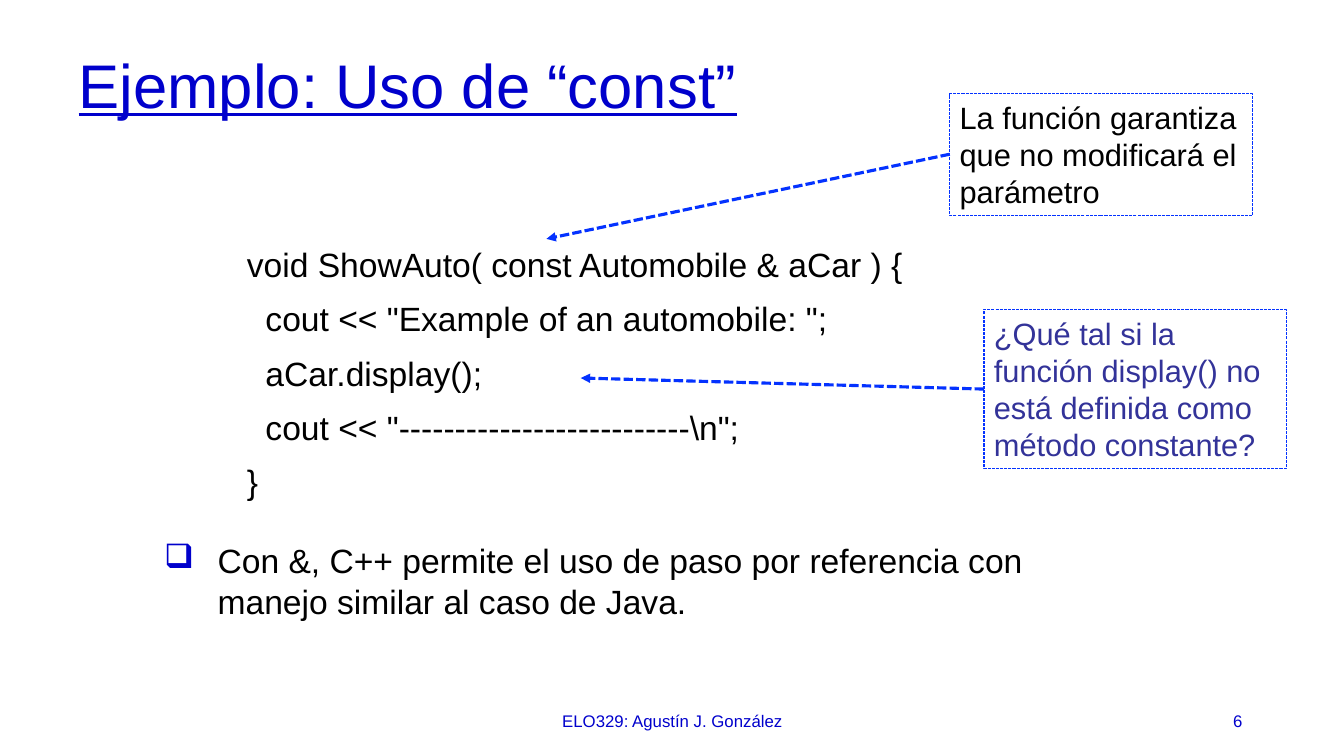
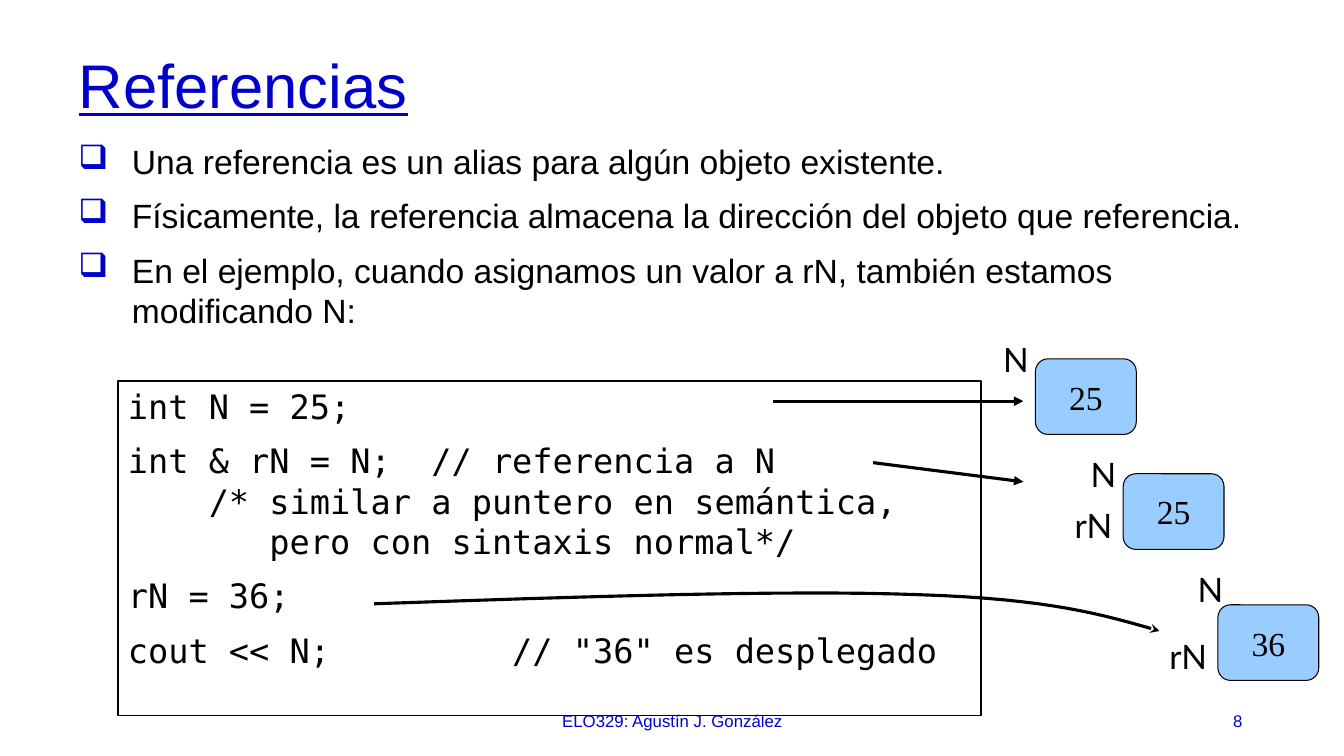
from dataclasses import dataclass
from typing import Optional

from pptx import Presentation
from pptx.dml.color import RGBColor
from pptx.enum.dml import MSO_LINE
from pptx.enum.shapes import MSO_CONNECTOR, MSO_SHAPE
from pptx.enum.text import MSO_ANCHOR as Anchor, PP_ALIGN as Align
from pptx.oxml.ns import qn
from pptx.oxml.xmlchemy import OxmlElement
from pptx.util import Inches, Pt

BLUE = RGBColor(0x00, 0x00, 0xCC)
CALLOUT_BLUE = RGBColor(0x04, 0x32, 0xFF)
INDIGO = RGBColor(0x33, 0x33, 0x99)
SKY = RGBColor(0x99, 0xCC, 0xFF)
BLACK = RGBColor(0x00, 0x00, 0x00)

SANS, MONO, LABEL_FONT, VALUE_FONT = "Arial", "DejaVu Sans Mono", "Lato", "Times New Roman"
FOOTER = "ELO329: Agustín J. González"
TITLE_ONLY = 5
BULLET_INDENT = Inches(0.53)
CURVE_STEPS = 16

Point = tuple[float, float]
Box = tuple[float, float, float, float]


@dataclass(frozen=True)
class Style:
    """Font settings of a run."""
    size: float
    color: RGBColor = BLACK
    font: str = SANS
    underline: bool = False


@dataclass(frozen=True)
class Callout:
    """A framed remark with an arrow to the code."""
    text: str
    box: Box
    color: RGBColor
    arrow_start: Point
    arrow_end: Point


@dataclass(frozen=True)
class Variable:
    """A memory cell with its names; name_offset places N from the cell's corner."""
    value: str
    left: float
    top: float
    name_offset: Point = (-0.42, -0.25)
    has_reference: bool = True


TITLE = Style(44, BLUE, underline=True)
BODY = Style(24)
CODE = Style(24, font=MONO)
SMALL = Style(12, BLUE)
LABEL = Style(24, font=LABEL_FONT)
VALUE = Style(24, font=VALUE_FONT)

CALLOUTS = [
    Callout("La función garantiza que no modificará el parámetro",
            (9.42, 0.93, 3, 1.21), BLACK, (9.42, 1.53), (5.42, 2.37)),
    Callout("¿Qué tal si la función display() no está definida como método constante?",
            (9.76, 3.07, 3, 1.58), INDIGO, (9.76, 3.86), (5.76, 3.75)),
]
SHOW_AUTO = [
    "void ShowAuto( const Automobile & aCar ) {",
    '  cout << "Example of an automobile: ";',
    "  aCar.display();",
    '  cout << "--------------------------\\n";',
    "}",
]
REFERENCE_POINTS = [
    "Una referencia es un alias para algún objeto existente.",
    "Físicamente, la referencia almacena la dirección del objeto que referencia.",
    "En el ejemplo, cuando asignamos un valor a rN, también estamos modificando N:",
]
REFERENCE_CODE = [
    "int N = 25;",
    "int & rN = N;  // referencia a N\n"
    "    /* similar a puntero en semántica,\n"
    "       pero con sintaxis normal*/",
    "rN = 36;",
    'cout << N;         // "36" es desplegado',
]
VARIABLES = [
    Variable("25", 10.27, 3.56, has_reference=False),
    Variable("25", 11.14, 4.7),
    Variable("36", 12.08, 6, name_offset=(-0.3, -0.41)),
]
CODE_ARROWS = [((7.67, 3.98), (10.15, 3.98)), ((8.66, 4.59), (10.15, 4.78))]
CURVE = [
    ((3.71, 5.99), (5.76, 5.92), (7.81, 5.85), (9.11, 5.9)),
    ((9.11, 5.9), (10.41, 5.94), (10.95, 6.1), (11.5, 6.26)),
]


def inches(*values: float) -> list[Inches]:
    """Convert numbers to lengths."""
    return [Inches(value) for value in values]


def write(paragraph, text: str, style: Style) -> None:
    """Add text to a paragraph, one run a line."""
    for number, line in enumerate(text.split("\n")):
        if number:
            paragraph.add_line_break()
        run = paragraph.add_run()
        run.text = line
        run.font.name, run.font.size = style.font, Pt(style.size)
        run.font.color.rgb = style.color
        if style.underline:
            run.font.underline = True


def set_bullet(paragraph) -> None:
    """Give a paragraph a blue box bullet and a hanging indent."""
    properties = paragraph._p.get_or_add_pPr()
    properties.set("marL", str(BULLET_INDENT))
    properties.set("indent", str(-BULLET_INDENT))
    bullet_color = OxmlElement("a:buClr")
    color = OxmlElement("a:srgbClr")
    color.set("val", str(BLUE))
    bullet_color.append(color)
    bullet = OxmlElement("a:buChar")
    bullet.set("char", "❑")
    properties.extend([bullet_color, bullet])


def fill_body(frame, texts: list[str], style: Style, bullets: bool = False) -> None:
    """Write spaced paragraphs into a text frame."""
    frame.word_wrap = True
    for number, text in enumerate(texts):
        paragraph = frame.add_paragraph() if number else frame.paragraphs[0]
        paragraph.space_before, paragraph.space_after = Pt(6), Pt(4)
        if bullets:
            set_bullet(paragraph)
        write(paragraph, text, style)


def add_body(slide, box: Box, texts: list[str], style: Style, bullets: bool = False):
    """Add a text box of spaced paragraphs and return it."""
    shape = slide.shapes.add_textbox(*inches(*box))
    fill_body(shape.text_frame, texts, style, bullets)
    return shape


def add_label(slide, box: Box, text: str, style: Style,
              align: Align = Align.LEFT, anchor: Anchor = Anchor.TOP) -> None:
    """Add a text box of one line."""
    frame = slide.shapes.add_textbox(*inches(*box)).text_frame
    frame.word_wrap = True
    frame.vertical_anchor = anchor
    frame.paragraphs[0].alignment = align
    write(frame.paragraphs[0], text, style)


def set_line(shape, color: RGBColor, width: float, dashed: bool = False,
             head: Optional[str] = None) -> None:
    """Format an outline, with an arrowhead at its end if asked."""
    shape.line.color.rgb = color
    shape.line.width = Pt(width)
    if dashed:
        shape.line.dash_style = MSO_LINE.SQUARE_DOT
    if head:
        tail = OxmlElement("a:tailEnd")
        tail.set("type", head)
        shape._element.spPr.find(qn("a:ln")).append(tail)


def add_arrow(shapes, start: Point, end: Point, color: RGBColor, dashed: bool = False) -> None:
    """Add a straight arrow."""
    arrow = shapes.add_connector(MSO_CONNECTOR.STRAIGHT, *inches(*start, *end))
    set_line(arrow, color, 2.25, dashed, "triangle")
    arrow._element.spPr.append(OxmlElement("a:effectLst"))


def add_callout(slide, callout: Callout) -> None:
    """Add a remark grouped with its arrow."""
    shapes = slide.shapes.add_group_shape().shapes
    frame_shape = shapes.add_shape(MSO_SHAPE.RECTANGLE, *inches(*callout.box))
    frame_shape.shadow.inherit = False
    frame_shape.fill.background()
    set_line(frame_shape, CALLOUT_BLUE, 0.75, dashed=True)
    frame = frame_shape.text_frame
    frame.word_wrap = True
    frame.vertical_anchor = Anchor.TOP
    frame.paragraphs[0].alignment = Align.LEFT
    write(frame.paragraphs[0], callout.text, Style(22, callout.color))
    add_arrow(shapes, callout.arrow_start, callout.arrow_end, CALLOUT_BLUE, dashed=True)


def add_variable(slide, variable: Variable) -> None:
    """Add a memory cell and the names that refer to it."""
    left, top = variable.left, variable.top
    cell = slide.shapes.add_shape(MSO_SHAPE.ROUNDED_RECTANGLE, *inches(left, top, 1, 0.75))
    cell.shadow.inherit = False
    cell.fill.solid()
    cell.fill.fore_color.rgb = SKY
    set_line(cell, BLACK, 0)
    frame = cell.text_frame
    frame.word_wrap = False
    frame.vertical_anchor = Anchor.MIDDLE
    frame.paragraphs[0].alignment = Align.CENTER
    write(frame.paragraphs[0], variable.value, VALUE)
    shift_x, shift_y = variable.name_offset
    add_label(slide, (left + shift_x, top + shift_y, 0.5, 0.47), "N", LABEL)
    if variable.has_reference:
        add_label(slide, (left - 0.58, top + 0.26, 0.58, 0.53), "rN", LABEL)


def bezier_point(controls: tuple[Point, ...], t: float) -> Point:
    """Return the point at t of a cubic curve."""
    weights = ((1 - t) ** 3, 3 * t * (1 - t) ** 2, 3 * t ** 2 * (1 - t), t ** 3)
    x, y = (sum(w * p[axis] for w, p in zip(weights, controls)) for axis in (0, 1))
    return x, y


def add_curved_arrow(slide, segments: list[tuple[Point, ...]]) -> None:
    """Add an arrow along joined cubic curves."""
    points = [inches(*bezier_point(controls, step / CURVE_STEPS))
              for controls in segments for step in range(1, CURVE_STEPS + 1)]
    builder = slide.shapes.build_freeform(*inches(*segments[0][0]))
    builder.add_line_segments(points, close=False)
    curve = builder.convert_to_shape()
    curve.shadow.inherit = False
    curve.fill.background()
    set_line(curve, BLACK, 2.25, head="stealth")


def add_slide(presentation, title: str, number: int):
    """Add a slide with its title, footer and number."""
    slide = presentation.slides.add_slide(presentation.slide_layouts[TITLE_ONLY])
    shape = slide.shapes.title
    shape.left, shape.top, shape.width, shape.height = inches(0.68, 0.4, 12.08, 0.95)
    frame = shape.text_frame
    frame.vertical_anchor = Anchor.MIDDLE
    paragraph = frame.paragraphs[0]
    paragraph.alignment = Align.LEFT
    paragraph.line_spacing = 0.9
    write(paragraph, title, TITLE)
    add_label(slide, (4.42, 6.95, 4.5, 0.4), FOOTER, SMALL, Align.CENTER, Anchor.MIDDLE)
    add_label(slide, (9.42, 6.95, 3, 0.4), str(number), SMALL, Align.RIGHT, Anchor.MIDDLE)
    return slide


def build_const_slide(presentation) -> None:
    """Build the slide on const parameters."""
    slide = add_slide(presentation, "Ejemplo: Uso de “const”", 6)
    add_body(slide, (2.35, 2.37, 9.83, 2.75), SHOW_AUTO, BODY)
    add_body(slide, (1.53, 5.31, 9.83, 1.68),
             ["Con &, C++ permite el uso de paso por referencia con "
              "manejo similar al caso de Java."], BODY, bullets=True)
    for callout in CALLOUTS:
        add_callout(slide, callout)


def build_references_slide(presentation) -> None:
    """Build the slide on references."""
    slide = add_slide(presentation, "Referencias", 8)
    add_body(slide, (0.68, 1.35, 12.08, 2.55), REFERENCE_POINTS, BODY, bullets=True)
    code = add_body(slide, (1.17, 3.78, 8.56, 3.32), REFERENCE_CODE, CODE)
    set_line(code, BLACK, 1)
    for variable in VARIABLES:
        add_variable(slide, variable)
    for start, end in CODE_ARROWS:
        add_arrow(slide.shapes, start, end, BLACK)
    add_curved_arrow(slide, CURVE)


def main() -> None:
    """Build and save the presentation."""
    presentation = Presentation()
    presentation.slide_width, presentation.slide_height = inches(13.33, 7.5)
    build_const_slide(presentation)
    build_references_slide(presentation)
    presentation.save("out.pptx")


main()
